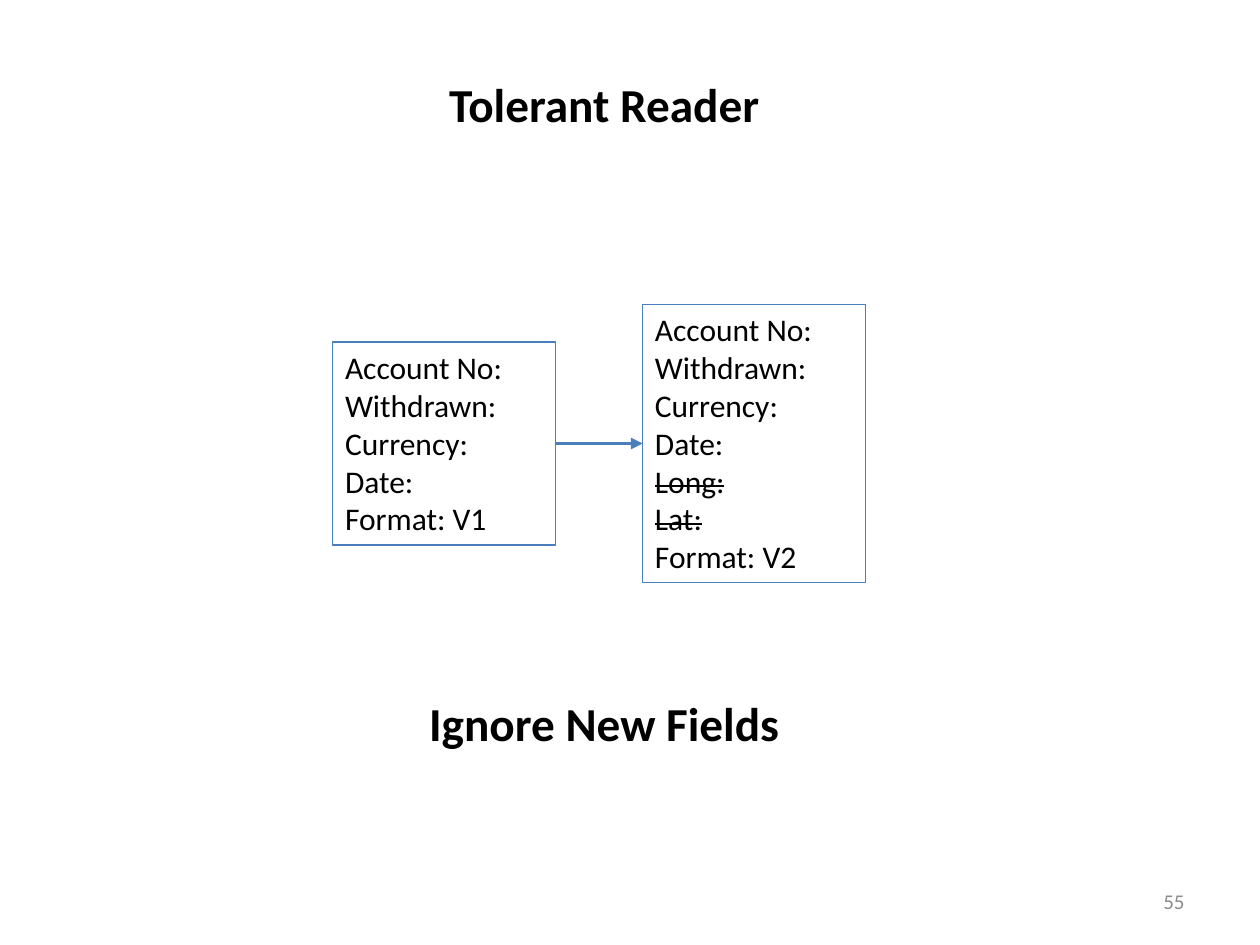
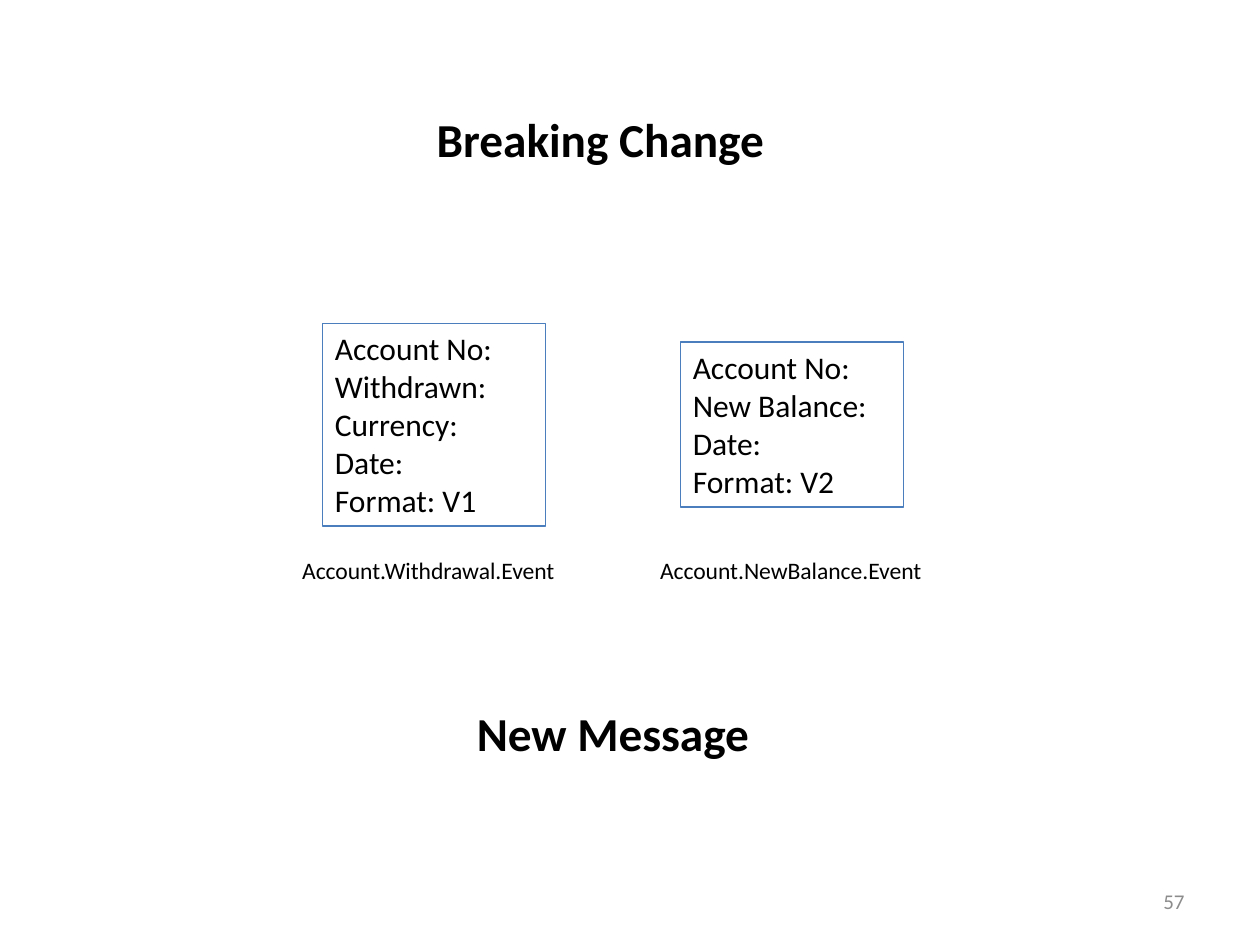
from lxml import etree
from pptx import Presentation
from pptx.dml.color import RGBColor
from pptx.enum.shapes import MSO_CONNECTOR, MSO_SHAPE
from pptx.enum.text import MSO_ANCHOR, MSO_AUTO_SIZE, PP_ALIGN
from pptx.oxml.ns import qn
from pptx.util import Inches, Pt

RECTANGLE = MSO_SHAPE.RECTANGLE
STRAIGHT = MSO_CONNECTOR.STRAIGHT
TOP, MIDDLE = MSO_ANCHOR.TOP, MSO_ANCHOR.MIDDLE
GROW, FIXED = MSO_AUTO_SIZE.SHAPE_TO_FIT_TEXT, MSO_AUTO_SIZE.NONE
LEFT, CENTER, RIGHT = PP_ALIGN.LEFT, PP_ALIGN.CENTER, PP_ALIGN.RIGHT

FONT = "Calibri"
COLORS = {"text": "000000", "line": "4B7EBC", "number": "8C8C8C", "paper": "FFFFFF"}
BLANK_LAYOUT = 6
LEFT_SIDE, RIGHT_SIDE = 1, 3

MESSAGE_WIDTH = 1.77
LINE_HEIGHT = 0.3
MESSAGE_PADDING = 0.11
CAPTION_OVERHANG = 0.26


def color(name):
    return RGBColor.from_string(COLORS[name])


class MessageDeck:
    """Holds the shared style and the slide being drawn."""

    def __init__(self):
        self.deck = Presentation()
        self.deck.slide_width = Inches(10)
        self.deck.slide_height = Inches(7.5)
        self.page = None

    def start_page(self, number):
        self.page = self.deck.slides.add_slide(self.deck.slide_layouts[BLANK_LAYOUT])
        self.page.background.fill.solid()
        self.page.background.fill.fore_color.rgb = color("paper")
        self.text(7.17, 6.95, 2.33, 0.4, str(number), 12, "number", RIGHT,
                  anchor=MIDDLE, fit=FIXED)

    def fill_text(self, shape, lines, size, shade="text", align=LEFT, bold=False,
                  struck=(), anchor=TOP, fit=GROW):
        """Fill a shape with one paragraph per line; lines in struck are crossed out."""
        frame = shape.text_frame
        frame.word_wrap = True
        frame.auto_size = fit
        frame.vertical_anchor = anchor
        for index, line in enumerate(lines):
            para = frame.paragraphs[0] if index == 0 else frame.add_paragraph()
            para.alignment = align
            span = para.add_run()
            span.text = line
            span.font.name = FONT
            span.font.size = Pt(size)
            span.font.bold = bold
            span.font.color.rgb = color(shade)
            if line in struck:
                span.font._element.set("strike", "sngStrike")

    def text(self, left, top, width, height, words, size, shade="text",
             align=LEFT, **style):
        box = self.page.shapes.add_textbox(
            Inches(left), Inches(top), Inches(width), Inches(height))
        self.fill_text(box, [words], size, shade, align, **style)

    def headline(self, left, top, words):
        self.text(left, top, 3.73, 0.56, words, 27, align=CENTER, bold=True)

    def message(self, left, middle, fields, struck=()):
        """Draw a message box centred vertically on middle."""
        height = MESSAGE_PADDING + LINE_HEIGHT * len(fields)
        box = self.page.shapes.add_shape(
            RECTANGLE, Inches(left), Inches(middle - height / 2),
            Inches(MESSAGE_WIDTH), Inches(height))
        box.shadow.inherit = False
        box.fill.background()
        box.line.color.rgb = color("line")
        box.line.width = Pt(0.75)
        self.fill_text(box, fields, 18, struck=struck)
        return box

    def caption(self, message_left, words):
        self.text(message_left - CAPTION_OVERHANG, 4.36, 2.29, 0.33, words, 13.5)

    def arrow(self, source, target):
        link = self.page.shapes.add_connector(STRAIGHT, 0, 0, 0, 0)
        link.begin_connect(source, RIGHT_SIDE)
        link.end_connect(target, LEFT_SIDE)
        link.line.color.rgb = color("line")
        link.line.width = Pt(2.25)
        properties = link._element.spPr
        etree.SubElement(properties.find(qn("a:ln")), qn("a:tailEnd"), type="triangle")
        etree.SubElement(properties, qn("a:effectLst"))


def tolerant_reader(show, first_version):
    show.start_page(55)
    middle = 3.52
    old = show.message(2.64, middle, first_version)
    added = ["Long:", "Lat:"]
    new = show.message(5.1, middle, first_version[:-1] + added + ["Format: V2"],
                       struck=added)
    show.headline(2.93, 5.46, "Ignore New Fields")
    show.headline(2.93, 0.55, "Tolerant Reader")
    show.arrow(old, new)


def breaking_change(show, first_version):
    show.start_page(57)
    new_balance = ["Account No:", "New Balance:", "Date:", "Format: V2"]
    events = [
        (2.56, first_version, "Account.Withdrawal.Event"),
        (5.4, new_balance, "Account.NewBalance.Event"),
    ]
    for left, fields, event in events:
        show.message(left, 3.37, fields)
        show.caption(left, event)
    show.headline(2.9, 0.83, "Breaking Change")
    show.headline(3, 5.54, "New Message")


def main():
    show = MessageDeck()
    first_version = ["Account No:", "Withdrawn:", "Currency:", "Date:", "Format: V1"]
    tolerant_reader(show, first_version)
    breaking_change(show, first_version)
    show.deck.save("out.pptx")


if __name__ == "__main__":
    main()
